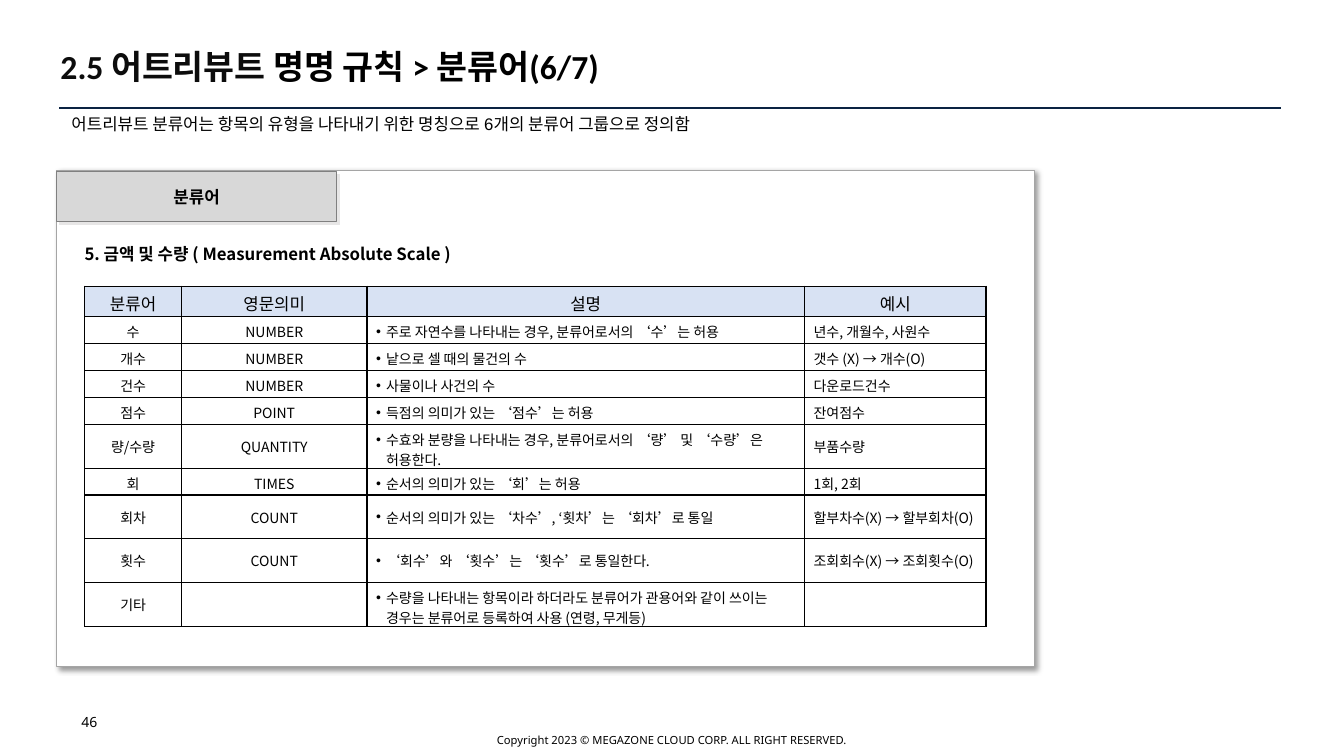
import pptx
import pptx.util
import pptx.dml.color
import pptx.enum.shapes
import pptx.enum.text
import pptx.oxml
import pptx.oxml.ns

Inches = pptx.util.Inches
Pt = pptx.util.Pt
RGBColor = pptx.dml.color.RGBColor
Align = pptx.enum.text.PP_ALIGN
Anchor = pptx.enum.text.MSO_ANCHOR
AutoSize = pptx.enum.text.MSO_AUTO_SIZE
Shape = pptx.enum.shapes.MSO_SHAPE

BLACK = RGBColor(0x00, 0x00, 0x00)
NEAR_BLACK = RGBColor(0x0C, 0x0C, 0x0C)
WHITE = RGBColor(0xFF, 0xFF, 0xFF)
NAVY = RGBColor(0x0A, 0x23, 0x42)
PANEL_LINE = RGBColor(0xA5, 0xA5, 0xA5)
TAB_FILL = RGBColor(0xD8, 0xD8, 0xD8)
TAB_LINE = RGBColor(0x80, 0x80, 0x80)
TAB_SHADOW = RGBColor(0xE7, 0xE6, 0xE6)
HEADER_FILL = RGBColor(0xD8, 0xE2, 0xF3)
KOREAN = "Noto Sans CJK KR"

TITLE_RUNS = [("2.5 어트리뷰트 ", NEAR_BLACK), ("명명 규칙 > 분류어(6/7)", BLACK)]
TAB_LABEL = "분류어"
SUMMARY = "어트리뷰트 분류어는 항목의 유형을 나타내기 위한 명칭으로 6개의 분류어 그룹으로 정의함"
SECTION = "5. 금액 및 수량 ( Measurement Absolute Scale )"
COPYRIGHT = "Copyright 2023 © MEGAZONE CLOUD CORP. ALL RIGHT RESERVED."
PAGE_NUMBER = "46"
COLUMN_WIDTHS = [0.96, 1.84, 4.34, 1.8]
ROW_HEIGHT = 0.2
DESCRIPTION_COLUMN = 2
ROWS = [
    ("분류어", "영문의미", "설명", "예시"),
    ("수", "NUMBER", "주로 자연수를 나타내는 경우, 분류어로서의 ‘수’는 허용", "년수, 개월수, 사원수"),
    ("개수", "NUMBER", "낱으로 셀 때의 물건의 수", "갯수 (X) → 개수(O)"),
    ("건수", "NUMBER", "사물이나 사건의 수", "다운로드건수"),
    ("점수", "POINT", "득점의 의미가 있는 ‘점수’는 허용", "잔여점수"),
    ("량/수량", "QUANTITY",
     "수효와 분량을 나타내는 경우, 분류어로서의 ‘량’ 및 ‘수량’은 허용한다.", "부품수량"),
    ("회", "TIMES", "순서의 의미가 있는 ‘회’는 허용", "1회, 2회"),
    ("회차", "COUNT", "순서의 의미가 있는 ‘차수’, ‘횟차’는 ‘회차’로 통일", "할부차수(X) → 할부회차(O)"),
    ("횟수", "COUNT", "‘회수’와 ‘횟수’는 ‘횟수’로 통일한다.", "조회회수(X) → 조회횟수(O)"),
    ("기타", "",
     "수량을 나타내는 항목이라 하더라도 분류어가 관용어와 같이 쓰이는 경우는 분류어로 등록하여 사용 (연령, 무게등)", ""),
]


def add_xml(parent, markup):
    parent.append(pptx.oxml.parse_xml(
        markup.replace(">", " " + pptx.oxml.ns.nsdecls("a") + ">", 1)))


def add_run(paragraph, text, size, font, color=BLACK, bold=False):
    run = paragraph.add_run()
    run.text = text
    run.font.size = Pt(size)
    run.font.name = font
    run.font.bold = bold
    run.font.color.rgb = color
    add_xml(run.font._element, f'<a:ea typeface="{KOREAN}"></a:ea>')


def set_indent(paragraph):
    properties = paragraph._p.get_or_add_pPr()
    properties.set("marL", str(Inches(0.1)))
    properties.set("indent", str(Inches(-0.1)))
    return properties


def add_text(slide, box, text, size, font, bold=False, grow=True):
    shape = slide.shapes.add_textbox(*map(Inches, box))
    frame = shape.text_frame
    frame.word_wrap = True
    frame.auto_size = AutoSize.SHAPE_TO_FIT_TEXT if grow else AutoSize.NONE
    add_run(frame.paragraphs[0], text, size, font, bold=bold)
    return frame


def add_panel(slide, kind, box, fill, line, width, shadow):
    shape = slide.shapes.add_shape(kind, *map(Inches, box))
    shape.fill.solid()
    shape.fill.fore_color.rgb = fill
    shape.line.color.rgb = line
    shape.line.width = Pt(width)
    color, opacity, blur, distance = shadow
    add_xml(shape._element.spPr,
            f'<a:effectLst><a:outerShdw blurRad="{Pt(blur)}" dist="{Pt(distance)}" '
            f'dir="2700000" algn="tl" rotWithShape="0"><a:srgbClr val="{color}">'
            f'<a:alpha val="{opacity * 1000}"/></a:srgbClr></a:outerShdw></a:effectLst>')
    return shape


def add_title(slide):
    title = slide.shapes.title
    title.left, title.top, title.width, title.height = map(Inches, (0.6, 0.48, 12.11, 0.4))
    frame = title.text_frame
    frame.margin_left = frame.margin_right = frame.margin_top = frame.margin_bottom = 0
    frame.vertical_anchor = Anchor.MIDDLE
    frame.auto_size = AutoSize.NONE
    paragraph = frame.paragraphs[0]
    paragraph.alignment = Align.LEFT
    paragraph.line_spacing = 0.9
    for text, color in TITLE_RUNS:
        add_run(paragraph, text, 24, "Calibri", color, True)


def fill_cell(cell, text, is_header, column):
    cell.vertical_anchor = Anchor.MIDDLE
    cell.margin_left = cell.margin_right = Inches(0.09)
    cell.margin_top = cell.margin_bottom = Inches(0.05)
    paragraph = cell.text_frame.paragraphs[0]
    if is_header or column < DESCRIPTION_COLUMN:
        paragraph.alignment = Align.CENTER
    elif column == DESCRIPTION_COLUMN:
        properties = set_indent(paragraph)
        add_xml(properties, f'<a:buClr><a:srgbClr val="{BLACK}"/></a:buClr>')
        add_xml(properties, '<a:buFont typeface="Arial"></a:buFont>')
        add_xml(properties, '<a:buChar char="•"></a:buChar>')
    add_run(paragraph, text, 12 if is_header else 10, KOREAN)
    for side in ("lnL", "lnR", "lnT", "lnB"):
        add_xml(cell._tc.get_or_add_tcPr(),
                f'<a:{side} w="{Pt(1)}"><a:solidFill><a:srgbClr val="{BLACK}"/>'
                f'</a:solidFill></a:{side}>')
    if is_header:
        cell.fill.solid()
        cell.fill.fore_color.rgb = HEADER_FILL
    else:
        cell.fill.background()


def add_word_table(slide):
    table = slide.shapes.add_table(
        len(ROWS), len(COLUMN_WIDTHS), Inches(0.84), Inches(2.84),
        Inches(sum(COLUMN_WIDTHS)), Inches(ROW_HEIGHT * len(ROWS))).table
    table.first_row = table.horz_banding = False
    for column, width in zip(table.columns, COLUMN_WIDTHS):
        column.width = Inches(width)
    for row_index, texts in enumerate(ROWS):
        table.rows[row_index].height = Inches(ROW_HEIGHT)
        for column_index, text in enumerate(texts):
            fill_cell(table.cell(row_index, column_index), text, row_index == 0, column_index)


def main():
    presentation = pptx.Presentation()
    presentation.slide_width, presentation.slide_height = Inches(13.33), Inches(7.5)
    slide = presentation.slides.add_slide(presentation.slide_layouts[5])

    rule = slide.shapes.add_connector(
        pptx.enum.shapes.MSO_CONNECTOR.STRAIGHT, *map(Inches, (0.59, 1.07, 12.71, 1.07)))
    rule.line.color.rgb = NAVY
    rule.line.width = Pt(1.5)
    add_xml(rule._element.spPr, "<a:effectLst></a:effectLst>")

    footer = add_text(slide, (4.32, 7.13, 4.69, 0.3), COPYRIGHT, 8, "Noto Sans")
    footer.vertical_anchor = Anchor.MIDDLE
    footer.paragraphs[0].alignment = Align.CENTER
    footer.paragraphs[0].line_spacing = 2.0
    add_text(slide, (0.71, 7.03, 3.69, 0.4), PAGE_NUMBER, 10, "Noto Sans", grow=False)

    panel = add_panel(slide, Shape.ROUNDED_RECTANGLE, (0.56, 1.69, 9.7, 4.92),
                      WHITE, PANEL_LINE, 1, (BLACK, 40, 4, 3))
    panel.adjustments[0] = 0
    add_title(slide)

    tab = add_panel(slide, Shape.RECTANGLE, (0.56, 1.7, 2.78, 0.5),
                    TAB_FILL, TAB_LINE, 0.75, (TAB_SHADOW, 100, 0, 2.8))
    tab.text_frame.margin_left = tab.text_frame.margin_right = 0
    tab.text_frame.vertical_anchor = Anchor.MIDDLE
    label = tab.text_frame.paragraphs[0]
    label.alignment = Align.CENTER
    set_indent(label)
    add_run(label, TAB_LABEL, 12, KOREAN, bold=True)

    add_text(slide, (0.74, 2.37, 5.21, 0.3), SECTION, 12, KOREAN, bold=True)
    add_word_table(slide)
    add_text(slide, (0.61, 1.08, 12.11, 0.3), SUMMARY, 12, "Arial")
    presentation.save("out.pptx")


if __name__ == "__main__":
    main()
